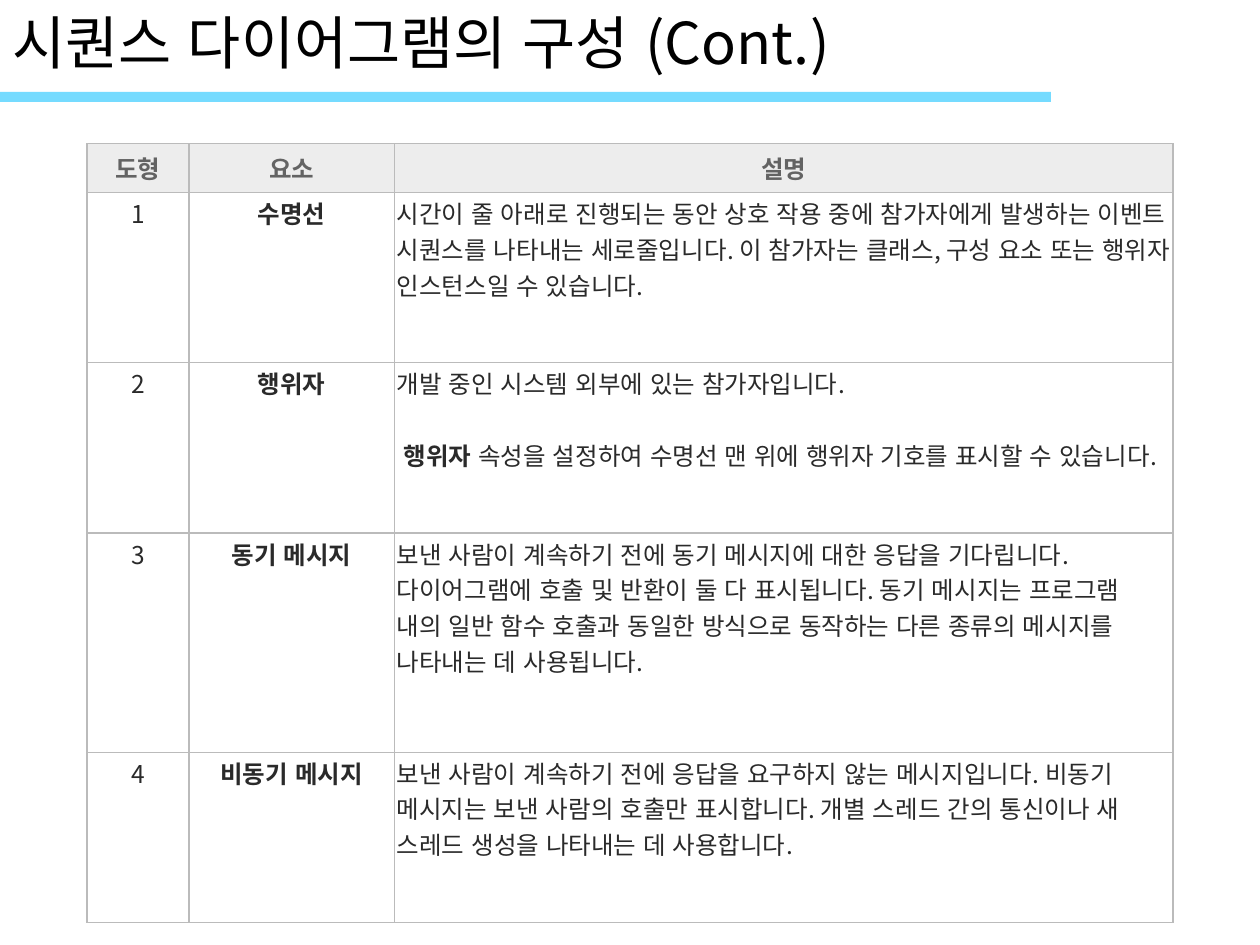
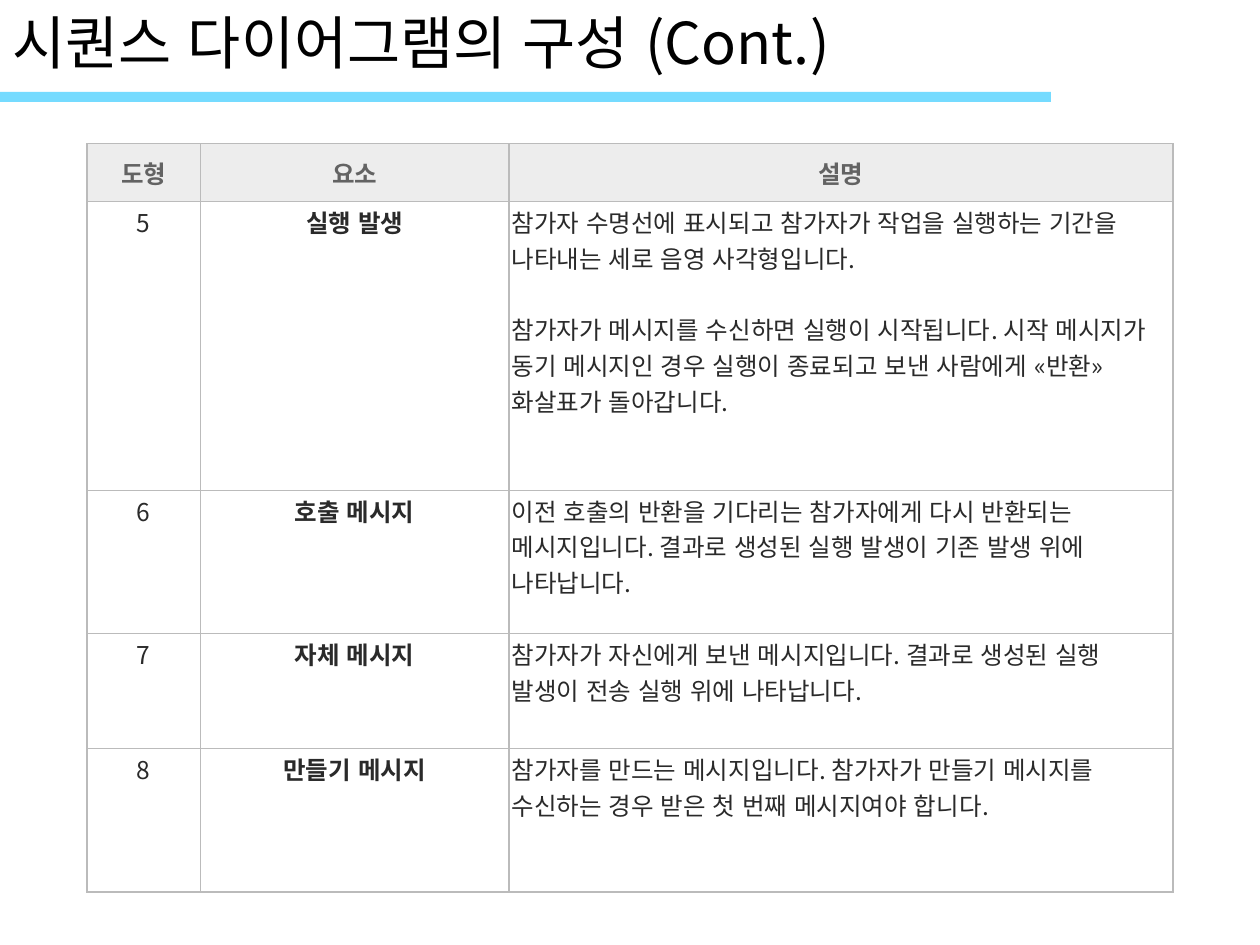
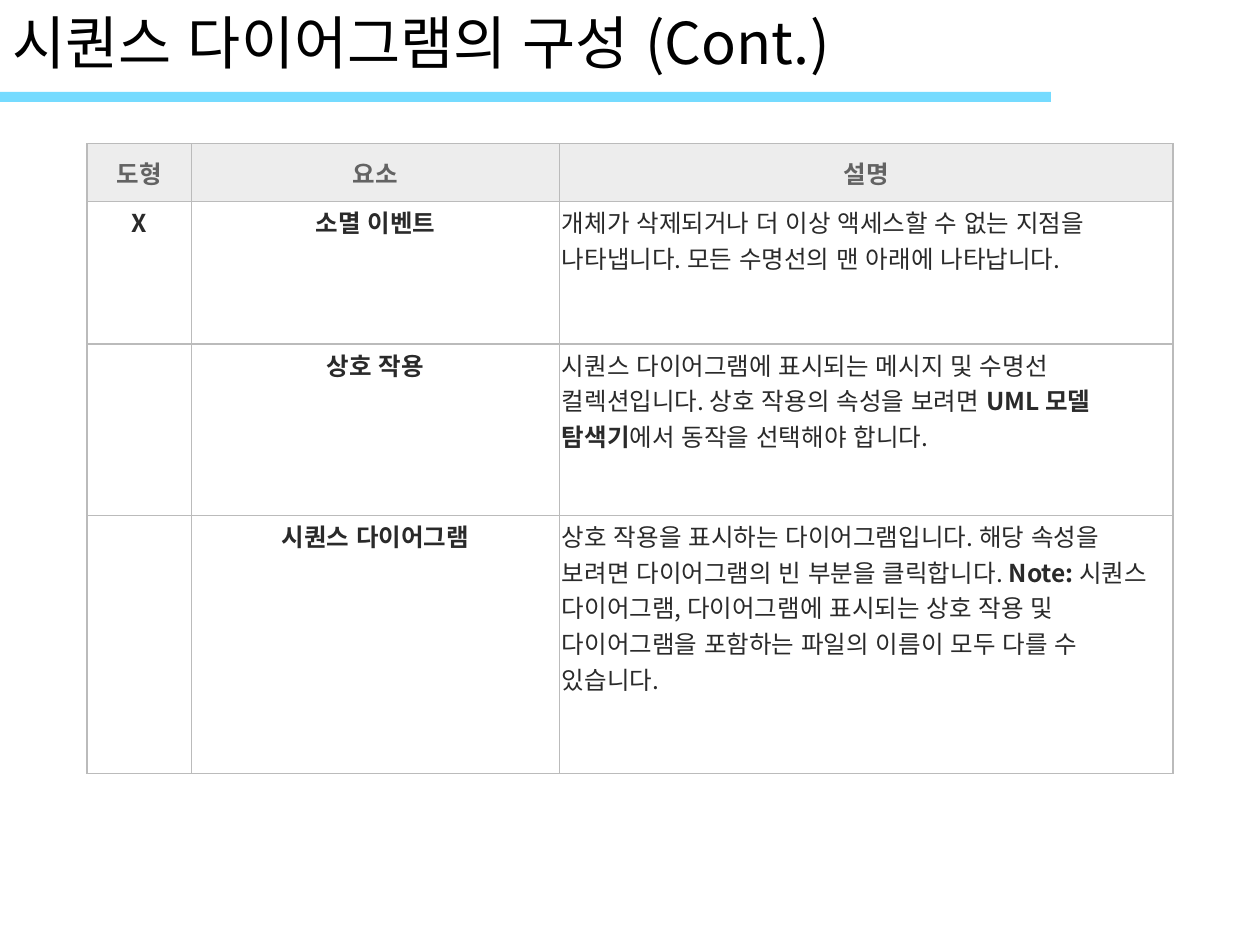
from lxml.etree import SubElement
from pptx import Presentation
from pptx.dml.color import RGBColor
from pptx.enum.lang import MSO_LANGUAGE_ID as Language
from pptx.enum.shapes import MSO_SHAPE as Shape
from pptx.enum.text import MSO_ANCHOR as Anchor, PP_ALIGN as Align
from pptx.oxml.ns import qn
from pptx.util import Inches, Pt

# Shared look
BLACK = RGBColor(0x00, 0x00, 0x00)
WHITE = RGBColor(0xFF, 0xFF, 0xFF)
SKY = RGBColor(0x75, 0xDB, 0xFF)
BORDER = RGBColor(0xBB, 0xBB, 0xBB)
HEAD_FILL = RGBColor(0xED, 0xED, 0xED)
HEAD_INK = RGBColor(0x63, 0x63, 0x63)
INK = RGBColor(0x2A, 0x2A, 0x2A)
FONT = "Noto Sans CJK KR"
TITLE = "시퀀스 다이어그램의 구성 (Cont.)"
HEADINGS = ("도형", "요소", "설명")
BLANK_LINE = Pt(20.5)

deck = Presentation()
deck.slide_width, deck.slide_height = Inches(10), Inches(7.5)
UNIT = deck.slide_width // 1000  # the slide is a grid of 1000 columns by 750 rows
TABLE_LEFT, TABLE_TOP, TABLE_WIDTH = 69 * UNIT, 114 * UNIT, 862 * UNIT
CELL_FORMAT = dict.fromkeys(
    ("margin_left", "margin_right", "margin_top", "margin_bottom"), 2 * UNIT)

# Each table: column widths and row heights in grid units, then the rows.
# A description is a list of paragraphs; ** switches bold on and off.
TABLES = [
    ((81, 163, 618), (39, 135, 135, 174, 135), [
        ("1", "수명선", [
            "시간이 줄 아래로 진행되는 동안 상호 작용 중에 참가자에게 발생하는 이벤트 "
            "시퀀스를 나타내는 세로줄입니다. 이 참가자는 클래스, 구성 요소 또는 "
            "행위자 인스턴스일 수 있습니다."]),
        ("2", "행위자", [
            "개발 중인 시스템 외부에 있는 참가자입니다.",
            "\u00a0**행위자**\u00a0속성을 설정하여 수명선 맨 위에 행위자 기호를 "
            "표시할 수 있습니다."]),
        ("3", "동기 메시지", [
            "보낸 사람이 계속하기 전에 동기 메시지에 대한 응답을 기다립니다. "
            "다이어그램에 호출 및 반환이 둘 다 표시됩니다. 동기 메시지는 프로그램 "
            "내의 일반 함수 호출과 동일한 방식으로 동작하는 다른 종류의 메시지를 "
            "나타내는 데 사용됩니다."]),
        ("4", "비동기 메시지", [
            "보낸 사람이 계속하기 전에 응답을 요구하지 않는 메시지입니다. 비동기 "
            "메시지는 보낸 사람의 호출만 표시합니다. 개별 스레드 간의 통신이나 새 "
            "스레드 생성을 나타내는 데 사용합니다."]),
    ]),
    ((90, 245, 527), (46, 229, 114, 91, 114), [
        ("5", "실행 발생", [
            "참가자 수명선에 표시되고 참가자가 작업을 실행하는 기간을 나타내는 "
            "세로 음영 사각형입니다.",
            "참가자가 메시지를 수신하면 실행이 시작됩니다. 시작 메시지가 동기 "
            "메시지인 경우 실행이 종료되고 보낸 사람에게 «반환» 화살표가 돌아갑니다."]),
        ("6", "호출 메시지", [
            "이전 호출의 반환을 기다리는 참가자에게 다시 반환되는 메시지입니다. "
            "결과로 생성된 실행 발생이 기존 발생 위에 나타납니다."]),
        ("7", "자체 메시지", [
            "참가자가 자신에게 보낸 메시지입니다. 결과로 생성된 실행 발생이 "
            "전송 실행 위에 나타납니다."]),
        ("8", "만들기 메시지", [
            "참가자를 만드는 메시지입니다. 참가자가 만들기 메시지를 수신하는 경우 "
            "받은 첫 번째 메시지여야 합니다."]),
    ]),
    ((83, 292, 487), (46, 113, 136, 205), [
        ("**X**", "소멸 이벤트", [
            "개체가 삭제되거나 더 이상 액세스할 수 없는 지점을 나타냅니다. "
            "모든 수명선의 맨 아래에 나타납니다."]),
        ("", "상호 작용", [
            "시퀀스 다이어그램에 표시되는 메시지 및 수명선 컬렉션입니다. 상호 작용의 "
            "속성을 보려면\u00a0**UML 모델 탐색기**에서 동작을 선택해야 합니다."]),
        ("", "시퀀스 다이어그램", [
            "상호 작용을 표시하는 다이어그램입니다. 해당 속성을 보려면 다이어그램의 "
            "빈 부분을 클릭합니다.\u00a0**Note:**\u00a0시퀀스 다이어그램, 다이어그램에 "
            "표시되는 상호 작용 및 다이어그램을 포함하는 파일의 이름이 모두 다를 수 "
            "있습니다."]),
    ]),
]


def write(frame, paragraphs, size, color, align):
    """Fill a text frame, turning **marked** parts bold."""
    for index, text in enumerate(paragraphs):
        paragraph = frame.add_paragraph() if index else frame.paragraphs[0]
        paragraph.alignment = align
        # Keep closing punctuation inside the margin
        paragraph._p.get_or_add_pPr().set("hangingPunct", "0")
        if index:
            paragraph.space_before = BLANK_LINE
        for part, words in enumerate(text.split("**")):
            if not words:
                continue
            run = paragraph.add_run()
            run.text = words
            run_format = dict(name=FONT, size=Pt(size), bold=part % 2 == 1,
                              language_id=Language.KOREAN)
            for key, value in run_format.items():
                setattr(run.font, key, value)
            run.font.color.rgb = color
            run.font._element.set("kern", "0")  # full-width word gaps
            SubElement(run.font._element, qn("a:ea"), typeface=FONT)


def outline(cell):
    """Draw the four borders of a table cell."""
    properties = cell._tc.get_or_add_tcPr()
    for side in ("a:lnL", "a:lnR", "a:lnT", "a:lnB"):
        line = SubElement(properties, qn(side), w=str(Pt(0.75)))
        SubElement(SubElement(line, qn("a:solidFill")), qn("a:srgbClr"), val=str(BORDER))


for widths, heights, entries in TABLES:
    slide = deck.slides.add_slide(deck.slide_layouts[6])

    # Band under the title
    band = slide.shapes.add_shape(Shape.RECTANGLE, 0, 73 * UNIT, 834 * UNIT, 8 * UNIT)
    band.shadow.inherit = False
    band.fill.solid()
    band.fill.fore_color.rgb = SKY
    band.line.fill.background()

    # Title
    title = slide.shapes.add_textbox(0, 0, deck.slide_width, 72 * UNIT).text_frame
    title.word_wrap = True
    title.vertical_anchor = Anchor.MIDDLE
    write(title, [TITLE], 33, BLACK, Align.LEFT)
    title.paragraphs[0].line_spacing = 0.9

    # Table of diagram elements
    elements = slide.shapes.add_table(
        len(heights), len(widths), TABLE_LEFT, TABLE_TOP, TABLE_WIDTH,
        sum(heights) * UNIT).table
    for column, width in zip(elements.columns, widths):
        column.width = width * UNIT
    for row, height in zip(elements.rows, heights):
        row.height = height * UNIT

    headings = [[f"**{heading}**"] for heading in HEADINGS]
    body = [([mark], [f"**{name}**"], description) for mark, name, description in entries]
    for r, contents in enumerate([headings, *body]):
        is_head = r == 0
        for c, paragraphs in enumerate(contents):
            cell = elements.cell(r, c)
            outline(cell)
            cell.fill.solid()
            cell.fill.fore_color.rgb = HEAD_FILL if is_head else WHITE
            for key, value in CELL_FORMAT.items():
                setattr(cell, key, value)
            cell.vertical_anchor = Anchor.MIDDLE if is_head else Anchor.TOP
            write(cell.text_frame, paragraphs, 14, HEAD_INK if is_head else INK,
                  Align.CENTER if is_head or c < 2 else Align.LEFT)

deck.save("out.pptx")
